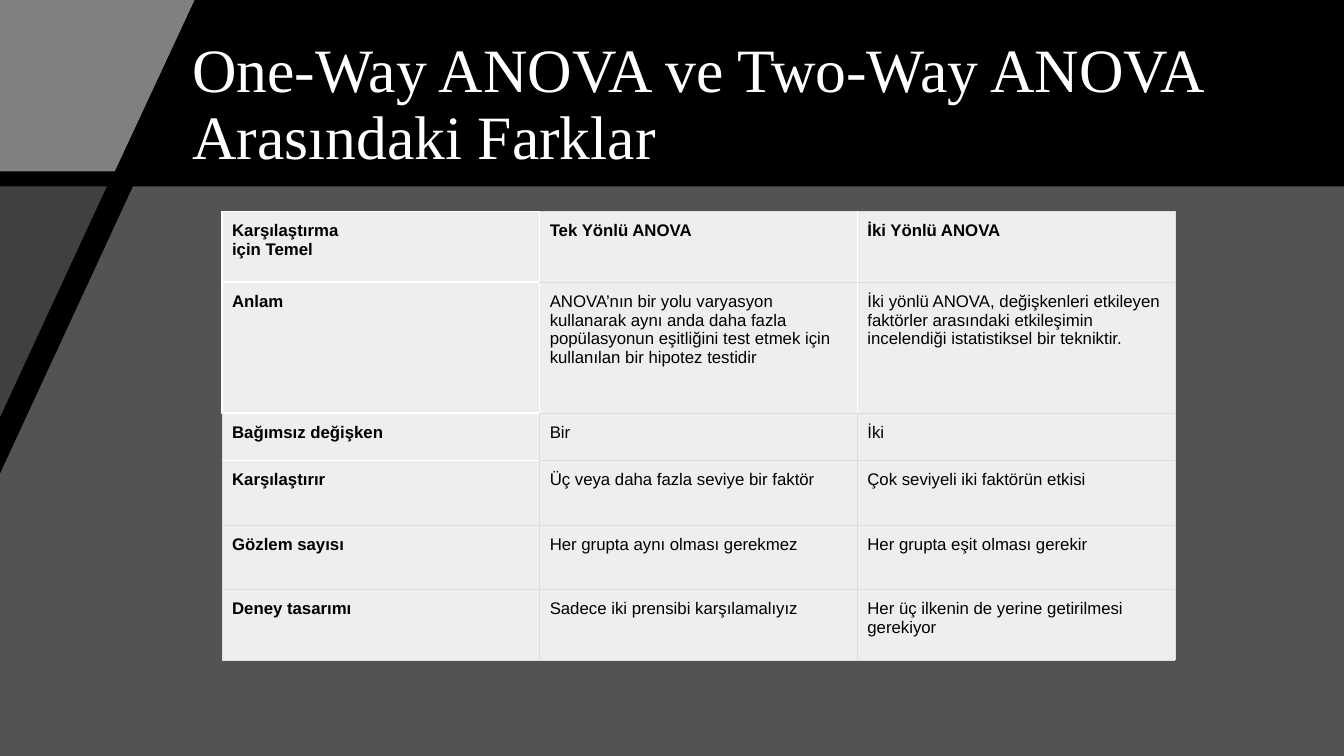
from lxml import etree
from pptx import Presentation
from pptx.dml.color import RGBColor
from pptx.enum.text import MSO_ANCHOR
from pptx.oxml.ns import qn
from pptx.util import Pt

MIDDLE = MSO_ANCHOR.MIDDLE
TOP = MSO_ANCHOR.TOP
COLORS = {
    "black": "000000",
    "white": "FFFFFF",
    "corner": "808080",
    "panel": "A6A6A6",
    "wedge": "404040",
    "cell": "EEEEEE",
    "rule": "DDDDDD",
}


def add_span(para, text, font, size, color, bold=False):
    span = para.add_run()
    span.text = text
    span.font.name = font
    span.font.size = Pt(size)
    span.font.bold = bold
    span.font.color.rgb = RGBColor.from_string(COLORS[color])


def add_border(cell, side, color, width):
    line = etree.SubElement(cell._tc.get_or_add_tcPr(), qn(f"a:{side}"), w=str(Pt(width)))
    fill = etree.SubElement(line, qn("a:solidFill"))
    etree.SubElement(fill, qn("a:srgbClr"), val=COLORS[color])


deck = Presentation()
deck.slide_width = Pt(960)
deck.slide_height = Pt(540)
page = deck.slides.add_slide(deck.slide_layouts[6])
page.background.fill.solid()
page.background.fill.fore_color.rgb = RGBColor.from_string(COLORS["black"])

title_box = page.shapes.add_textbox(Pt(130.3), Pt(28.8), Pt(737.3), Pt(93.6))
title_box.text_frame.word_wrap = True
title_box.text_frame.vertical_anchor = MIDDLE
title_para = title_box.text_frame.paragraphs[0]
title_para.line_spacing = 0.9
add_span(title_para, "One-Way ANOVA ve Two-Way ANOVA Arasındaki Farklar", "Times New Roman", 44, "white")

outlines = [
    ("corner", 100, [(0, 0), (139, 0), (82, 122.4), (0, 122.4)]),
    ("panel", 50, [(95, 133.2), (960, 133.2), (960, 540), (0, 540), (0, 338.4)]),
    ("wedge", 100, [(0, 133.2), (76.3, 133.2), (0, 298)]),
]
for color, opacity, points in outlines:
    corners = [(Pt(x), Pt(y)) for x, y in points]
    builder = page.shapes.build_freeform(*corners[0])
    builder.add_line_segments(corners[1:], close=True)
    shape = builder.convert_to_shape()
    shape.shadow.inherit = False
    shape.line.fill.background()
    shape.fill.solid()
    shape.fill.fore_color.rgb = RGBColor.from_string(COLORS[color])
    if opacity < 100:
        tint = shape._element.spPr.find(qn("a:solidFill"))[0]
        etree.SubElement(tint, qn("a:alpha"), val=str(opacity * 1000))

rows = [
    (50.4, ["Karşılaştırma\niçin Temel", "Tek Yönlü ANOVA", "İki Yönlü ANOVA"]),
    (93.6, [
        "Anlam",
        "ANOVA’nın bir yolu varyasyon kullanarak aynı anda daha fazla popülasyonun eşitliğini "
        "test etmek için kullanılan bir hipotez testidir",
        "İki yönlü ANOVA, değişkenleri etkileyen faktörler arasındaki etkileşimin "
        "incelendiği istatistiksel bir tekniktir.",
    ]),
    (34, ["Bağımsız değişken", "Bir", "İki"]),
    (46, ["Karşılaştırır", "Üç veya daha fazla seviye bir faktör", "Çok seviyeli iki faktörün etkisi"]),
    (46, ["Gözlem sayısı", "Her grupta aynı olması gerekmez", "Her grupta eşit olması gerekir"]),
    (50.4, [
        "Deney tasarımı",
        "Sadece iki prensibi karşılamalıyız",
        "Her üç ilkenin de yerine getirilmesi gerekiyor",
    ]),
]
table_height = sum(height for height, texts in rows)
table = page.shapes.add_table(len(rows), 3, Pt(158.6), Pt(151), Pt(680.7), Pt(table_height)).table
table.first_row = False
table.horz_banding = False
for column in table.columns:
    column.width = Pt(226.9)

for row, (height, texts) in enumerate(rows):
    table.rows[row].height = Pt(height)
    for col, text in enumerate(texts):
        cell = table.cell(row, col)
        cell.margin_left = cell.margin_right = Pt(7.2)
        cell.margin_top = cell.margin_bottom = Pt(7.2)
        cell.vertical_anchor = TOP
        white_sides = {
            "lnL": row < 2,
            "lnR": row < 2 and col < 2,
            "lnT": col == 0 and row < 4,
            "lnB": col == 0 and row < 3,
        }
        for side, is_white in white_sides.items():
            add_border(cell, side, "white" if is_white else "rule", 1 if is_white else 0.5)
        cell.fill.solid()
        cell.fill.fore_color.rgb = RGBColor.from_string(COLORS["cell"])
        for index, line in enumerate(text.split("\n")):
            frame = cell.text_frame
            para = frame.add_paragraph() if index else frame.paragraphs[0]
            add_span(para, line, "Arial", 12, "black", row == 0 or col == 0)

deck.save("out.pptx")
